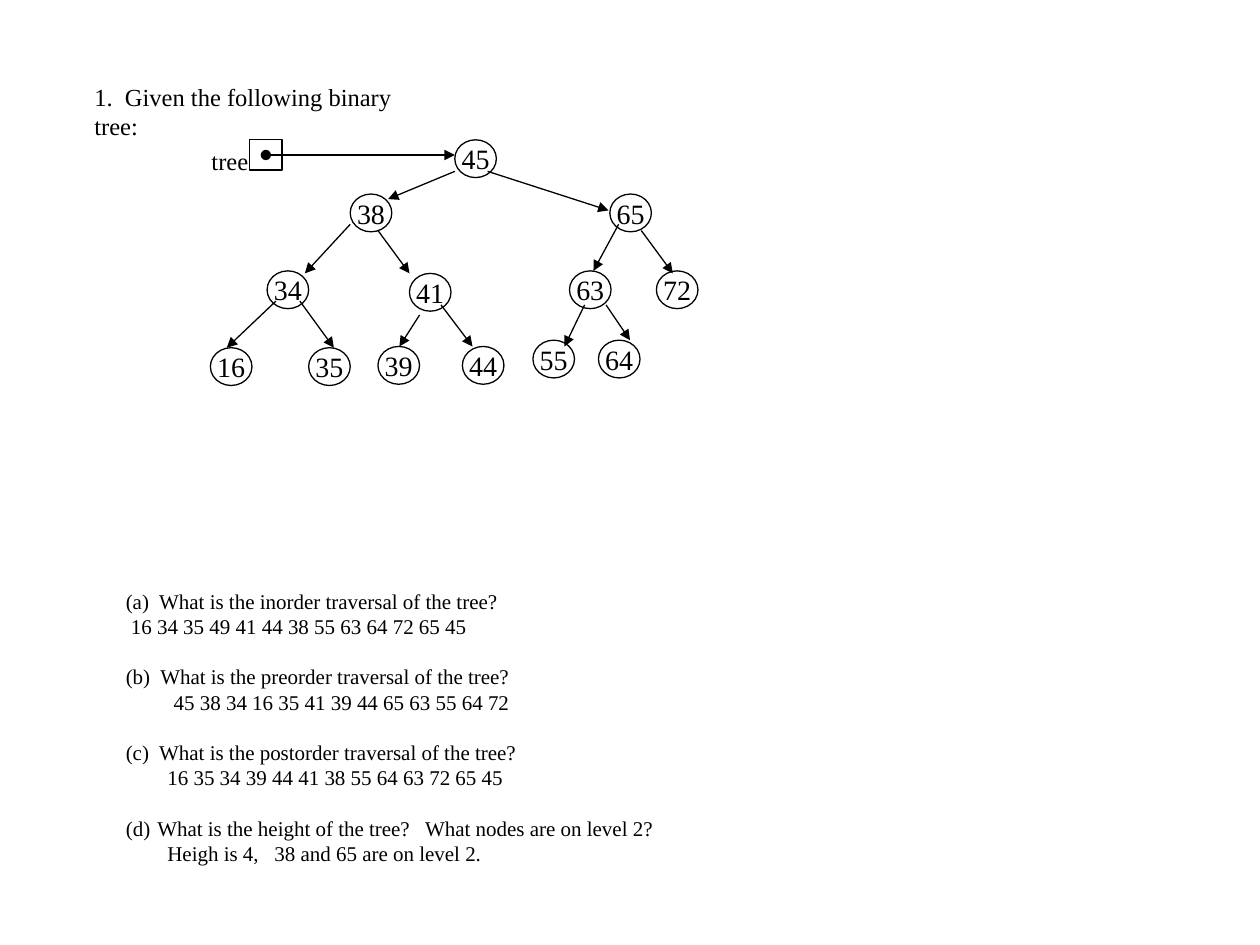
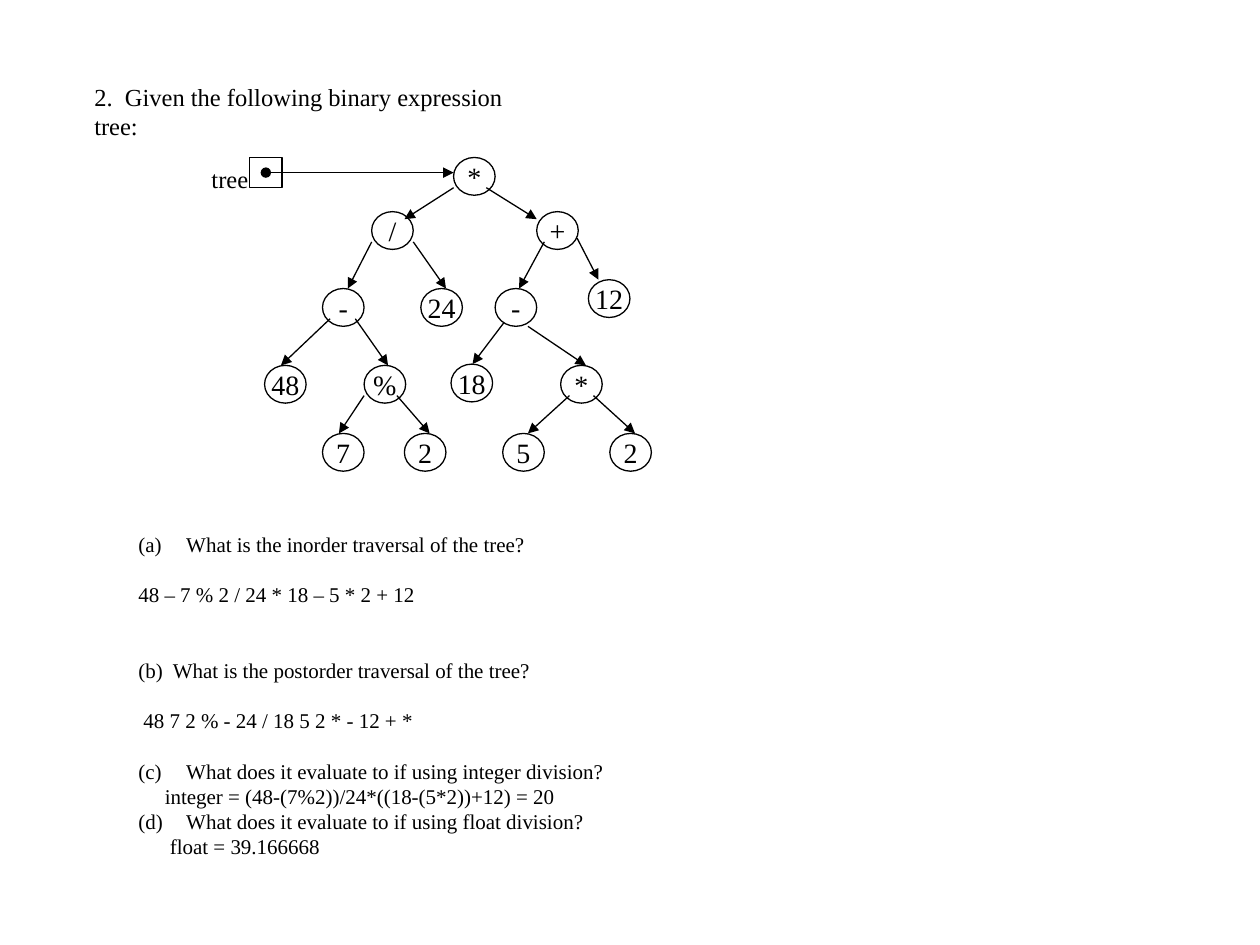
"""Build two exercise slides about binary trees."""
from lxml.etree import SubElement
from pptx import Presentation
from pptx.dml.color import RGBColor
from pptx.enum.shapes import MSO_CONNECTOR, MSO_SHAPE
from pptx.enum.text import MSO_ANCHOR, PP_ALIGN
from pptx.oxml.ns import qn
from pptx.util import Inches, Pt

COLORS = {"ink": "000000", "paper": "FFFFFF"}
FONT = "Times New Roman"
LINE_WIDTH = Pt(0.75)
LINE_PITCH = 1.2
NODE_SIZE = (0.33, 0.3)
BODY_SIZE = 12
NUMBER_INDENT = 0.38

# Each node: label, place in the tree box, arrow from its parent (x1, y1, x2, y2).
SEARCH_TREE = [
    ("45", (2.03, 0), None),
    ("38", (1.2, 0.43), (2.03, 0.25, 1.5, 0.47)),
    ("65", (3.26, 0.43), (2.29, 0.25, 3.25, 0.56)),
    ("34", (0.54, 1.04), (1.2, 0.67, 0.84, 1.06)),
    ("41", (1.67, 1.06), (1.42, 0.72, 1.67, 1.06)),
    ("63", (2.94, 1.04), (3.33, 0.67, 3.13, 1.04)),
    ("72", (3.63, 1.04), (3.51, 0.72, 3.76, 1.06)),
    ("16", (0.09, 1.65), (0.61, 1.28, 0.22, 1.65)),
    ("35", (0.87, 1.65), (0.8, 1.28, 1.07, 1.65)),
    ("39", (1.42, 1.64), (1.75, 1.39, 1.59, 1.64)),
    ("44", (2.09, 1.64), (1.92, 1.31, 2.17, 1.64)),
    ("55", (2.65, 1.59), (3.06, 1.31, 2.9, 1.64)),
    ("64", (3.17, 1.59), (3.23, 1.31, 3.42, 1.59)),
]
EXPRESSION_TREE = [
    ("*", (2.02, 0), None),
    ("/", (1.37, 0.43), (2.02, 0.24, 1.63, 0.49)),
    ("+", (2.68, 0.43), (2.28, 0.24, 2.68, 0.49)),
    ("-", (0.98, 1.04), (1.37, 0.67, 1.18, 1.04)),
    ("24", (1.76, 1.04), (1.7, 0.67, 1.96, 1.04)),
    ("-", (2.35, 1.04), (2.74, 0.67, 2.54, 1.04)),
    ("12", (3.09, 0.97), (3, 0.64, 3.17, 0.97)),
    ("48", (0.52, 1.65), (1.04, 1.28, 0.65, 1.65)),
    ("%", (1.31, 1.65), (1.24, 1.28, 1.5, 1.65)),
    ("18", (2, 1.64), (2.42, 1.31, 2.17, 1.64)),
    ("*", (2.87, 1.65), (2.61, 1.34, 3.07, 1.65)),
    ("7", (0.98, 2.19), (1.31, 1.89, 1.11, 2.19)),
    ("2", (1.63, 2.19), (1.57, 1.89, 1.83, 2.19)),
    ("5", (2.41, 2.19), (2.94, 1.89, 2.61, 2.19)),
    ("2", (3.26, 2.19), (3.13, 1.89, 3.46, 2.19)),
]
TRAVERSAL_QUESTIONS = [
    ("(a)  What is the inorder traversal of the tree?", {}),
    ("16 34 35 49 41 44 38 55 63 64 72 65 45", {"indent": 0.04}),
    ("(b)  What is the preorder traversal of the tree?", {"gap": 1}),
    ("45 38 34 16 35 41 39 44 65 63 55 64 72", {"indent": 0.38}),
    ("(c)  What is the postorder traversal of the tree?", {"gap": 1}),
    ("16 35 34 39 44 41 38 55 64 63 72 65 45", {"indent": 0.33}),
    ("What is the height of the tree?   What nodes are on level 2?",
     {"gap": 1, "number": 4, "indent": 0.25}),
    ("Heigh is 4,   38 and 65 are on level 2.", {"indent": 0.33}),
]
EXPRESSION_QUESTIONS = [
    ("What is the inorder traversal of the tree?", {"number": 1, "indent": NUMBER_INDENT}),
    ("48 – 7 % 2 / 24 * 18 – 5 * 2 + 12", {"gap": 1}),
    ("(b)  What is the postorder traversal of the tree?", {"gap": 2}),
    ("48 7 2 % - 24 / 18 5 2 * - 12 + *", {"gap": 1, "indent": 0.04}),
    ("What does it evaluate to if using integer division?",
     {"gap": 1, "number": 3, "indent": NUMBER_INDENT}),
    ("integer = (48-(7%2))/24*((18-(5*2))+12) = 20", {"indent": 0.21}),
    ("What does it evaluate to if using float division?",
     {"number": 4, "indent": NUMBER_INDENT}),
    ("float = 39.166668", {"indent": 0.25}),
]


def color(name):
    """Return a named colour."""
    return RGBColor.from_string(COLORS[name])


def write(paragraph, text, size=BODY_SIZE, align=PP_ALIGN.LEFT, gap=0, indent=0, number=None):
    """Write one paragraph; gap counts the empty lines above, number starts a lettered item."""
    paragraph.alignment = align
    paragraph.line_spacing = Pt(size * LINE_PITCH)
    paragraph.space_before = Pt(gap * size * LINE_PITCH)
    properties = paragraph._p.get_or_add_pPr()
    properties.set("marL", str(Inches(indent)))
    properties.set("indent", str(-Inches(indent) if number else 0))
    if number:
        SubElement(properties, qn("a:buAutoNum"), type="alphaLcParenBoth", startAt=str(number))
    run = paragraph.add_run()
    run.text = text
    run.font.name = FONT
    run.font.size = Pt(size)
    run.font.color.rgb = color("ink")


def add_text(shapes, box, lines, wrap=True, **text_format):
    """Add a text box with one paragraph for each (text, format) line."""
    frame = shapes.add_textbox(*map(Inches, box)).text_frame
    frame.word_wrap = wrap
    for index, (text, line_format) in enumerate(lines):
        paragraph = frame.add_paragraph() if index else frame.paragraphs[0]
        write(paragraph, text, **text_format, **line_format)


def add_outline(shapes, preset, box):
    """Add an unfilled preset shape with a thin line."""
    shape = shapes.add_shape(preset, *map(Inches, box))
    shape.shadow.inherit = False
    shape.fill.background()
    shape.line.color.rgb = color("ink")
    shape.line.width = LINE_WIDTH
    return shape


def add_arrow(shapes, left, top, ends, head=None):
    """Add an arrow whose ends are relative to left and top."""
    x1, y1, x2, y2 = ends
    points = (left + x1, top + y1, left + x2, top + y2)
    arrow = shapes.add_connector(MSO_CONNECTOR.STRAIGHT, *map(Inches, points))
    arrow.line.color.rgb = color("ink")
    arrow.line.width = LINE_WIDTH
    line = arrow.line._get_or_add_ln()
    if head:
        SubElement(line, qn("a:headEnd"), type=head)
    SubElement(line, qn("a:tailEnd"), type="triangle")
    SubElement(arrow._element.spPr, qn("a:effectLst"))


def add_node(shapes, left, top, label):
    """Add one labelled tree node."""
    shape = add_outline(shapes, MSO_SHAPE.OVAL, (left, top, *NODE_SIZE))
    frame = shape.text_frame
    frame.word_wrap = False
    frame.vertical_anchor = MSO_ANCHOR.MIDDLE
    write(frame.paragraphs[0], label, size=16, align=PP_ALIGN.CENTER)


def add_tree(slide, left, top, nodes):
    """Draw a tree and the pointer to its root as one group."""
    shapes = slide.shapes.add_group_shape().shapes
    add_text(shapes, (left, top, 0.49, 0.33), [("tree", {})], wrap=False, size=14)
    add_outline(shapes, MSO_SHAPE.RECTANGLE, (left + 0.4, top, 0.26, 0.24))
    root_left = nodes[0][1][0]
    add_arrow(shapes, left, top, (0.53, 0.12, root_left, 0.12), head="oval")
    for label, (x, y), arrow in nodes:
        add_node(shapes, left + x, top + y, label)
        if arrow:
            add_arrow(shapes, left, top, arrow)


def add_exercise(presentation, title, title_width, tree_top, nodes, question_box, questions):
    """Add one exercise slide: title, tree and questions."""
    slide = presentation.slides.add_slide(presentation.slide_layouts[6])
    slide.background.fill.solid()
    slide.background.fill.fore_color.rgb = color("paper")
    add_text(slide.shapes, (0.65, 0.6, title_width, 0.33), [(title, {})], size=14)
    add_text(slide.shapes, question_box, questions)
    add_tree(slide, 1.58, tree_top, nodes)


def main():
    """Build and save the presentation."""
    presentation = Presentation()
    presentation.slide_width = Inches(10)
    presentation.slide_height = Inches(7.5)
    add_exercise(presentation, "1.  Given the following binary tree:", 2.95,
                 1.11, SEARCH_TREE, (0.9, 4.62, 4.45, 2.32), TRAVERSAL_QUESTIONS)
    add_exercise(presentation, "2.  Given the following binary expression tree:", 3.83,
                 1.25, EXPRESSION_TREE, (1, 4.17, 3.94, 2.93), EXPRESSION_QUESTIONS)
    presentation.save("out.pptx")


if __name__ == "__main__":
    main()
